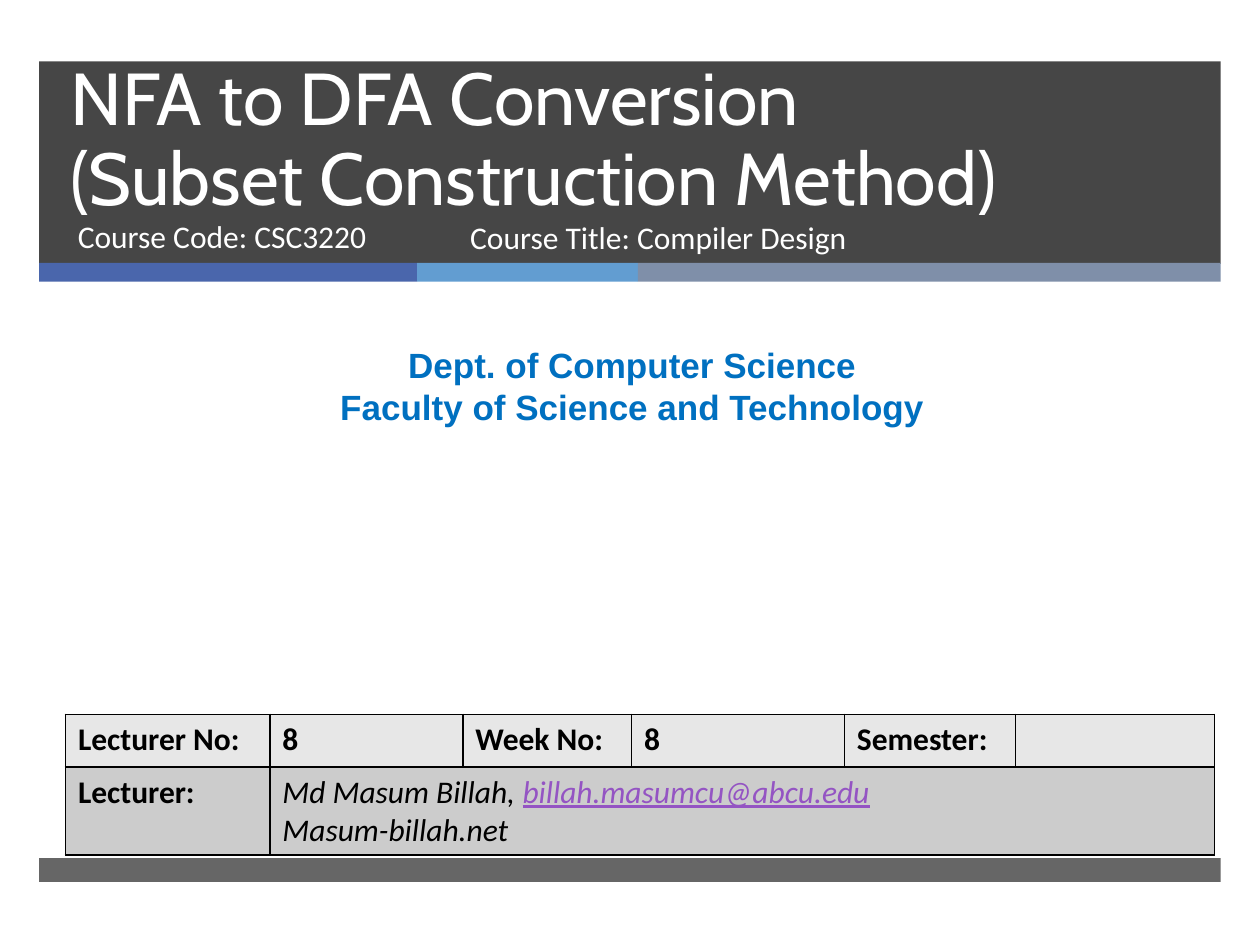
"""Build the title slide of the lecture on NFA to DFA conversion."""
from lxml import etree
from pptx import Presentation
from pptx.dml.color import RGBColor
from pptx.enum import shapes, text
from pptx.oxml import ns
from pptx.util import Cm, Pt

COLORS = {
    "dark": "262626", "indigo": "4A66AC", "sky": "629DD1", "slate": "7F8FA9",
    "white": "FFFFFF", "black": "000000", "blue": "0070C0", "violet": "9454C3",
    "light_row": "E7E7E7", "dark_row": "CCCCCC",
}


def rgb(name):
    return RGBColor.from_string(COLORS[name])


def write(tf, paragraphs, color, align=None, spacing=None, **font):
    for i, runs in enumerate(paragraphs):
        p = tf.paragraphs[0] if i == 0 else tf.add_paragraph()
        p.alignment = align
        p.line_spacing = spacing
        for words, extra in runs:
            r = p.add_run()
            r.text = words
            values = {"color": color, **font, **extra}
            r.font.color.rgb = rgb(values.pop("color"))
            for key, value in values.items():
                setattr(r.font, key, value)


prs = Presentation()
prs.slide_width, prs.slide_height = Cm(25.4), Cm(19.05)
s = prs.slides.add_slide(prs.slide_layouts[6])

bars = [
    (0.79, 1.24, 23.82, 4.08, "dark", 85),
    (0.79, 5.3, 7.62, 0.38, "indigo", 100),
    (8.41, 5.3, 4.45, 0.38, "sky", 100),
    (12.86, 5.3, 11.75, 0.38, "slate", 100),
    (0.79, 17.3, 23.82, 0.48, "dark", 70),
]
for x, y, w, h, color, opacity in bars:
    sp = s.shapes.add_shape(shapes.MSO_SHAPE.RECTANGLE, Cm(x), Cm(y), Cm(w), Cm(h))
    sp.shadow.inherit = False
    sp.line.fill.background()
    sp.fill.solid()
    sp.fill.fore_color.rgb = rgb(color)
    if opacity < 100:
        clr = sp.element.spPr.find(".//" + ns.qn("a:srgbClr"))
        etree.SubElement(clr, ns.qn("a:alpha"), val=str(opacity * 1000))

TOP, BOTTOM = text.MSO_ANCHOR.TOP, text.MSO_ANCHOR.BOTTOM
course = {"color": "white", "name": "Calibri", "size": Pt(18)}
boxes = [
    (1.17, 1.45, 21.69, 3.12, BOTTOM,
     ["NFA to DFA Conversion", "(Subset Construction Method)"],
     {"color": "white", "name": "Cabin", "size": Pt(42), "spacing": Pt(46)}),
    (1.32, 4.26, 7.75, 1.35, TOP, ["Course Code: CSC3220"], course),
    (9.23, 4.27, 11.56, 1.35, TOP, ["Course Title: Compiler Design"], course),
    (0.21, 6.8, 25.07, 1.96, TOP,
     ["Dept. of Computer Science", "Faculty of Science and Technology"],
     {"color": "blue", "name": "Arial", "size": Pt(20), "bold": True,
      "align": text.PP_ALIGN.CENTER}),
]
for x, y, w, h, anchor, lines, style in boxes:
    tf = s.shapes.add_textbox(Cm(x), Cm(y), Cm(w), Cm(h)).text_frame
    tf.word_wrap = True
    tf.vertical_anchor = anchor
    write(tf, [[(line, {})] for line in lines], **style)

widths = [4.12, 3.89, 3.4, 4.29, 3.45, 4.01]
heights = [1.06, 1.78]
frame = s.shapes.add_table(len(heights), len(widths), Cm(1.32), Cm(14.4),
                           Cm(sum(widths)), Cm(sum(heights)))
table = frame.table
for column, width in zip(table.columns, widths):
    column.width = Cm(width)
for row, height in zip(table.rows, heights):
    row.height = Cm(height)
table.cell(1, 1).merge(table.cell(1, 5))

label = {"bold": True}
detail = {"italic": True, "bold": False}
link = {**detail, "color": "violet", "underline": True}
contents = {
    (0, 0): [[("Lecturer No:", label)]],
    (0, 1): [[("8", label)]],
    (0, 2): [[("Week No:", label)]],
    (0, 3): [[("8", label)]],
    (0, 4): [[("Semester:", label)]],
    (1, 0): [[("Lecturer:", label)]],
    (1, 1): [[("Md Masum Billah, ", detail), ("billah.masumcu@abcu.edu", link)],
             [("Masum-billah.net", detail)]],
}
for i, fill in enumerate(["light_row", "dark_row"]):
    for j in range(len(widths)):
        cell = table.cell(i, j)
        tcPr = cell._tc.get_or_add_tcPr()
        for side in ("lnL", "lnR", "lnT", "lnB"):
            ln = etree.SubElement(tcPr, ns.qn("a:" + side), w=str(Pt(1)))
            solid = etree.SubElement(ln, ns.qn("a:solidFill"))
            etree.SubElement(solid, ns.qn("a:srgbClr"), val=COLORS["black"])
        cell.fill.solid()
        cell.fill.fore_color.rgb = rgb(fill)
        write(cell.text_frame, contents.get((i, j), []), "black",
              name="Calibri", size=Pt(18))

prs.save("out.pptx")
